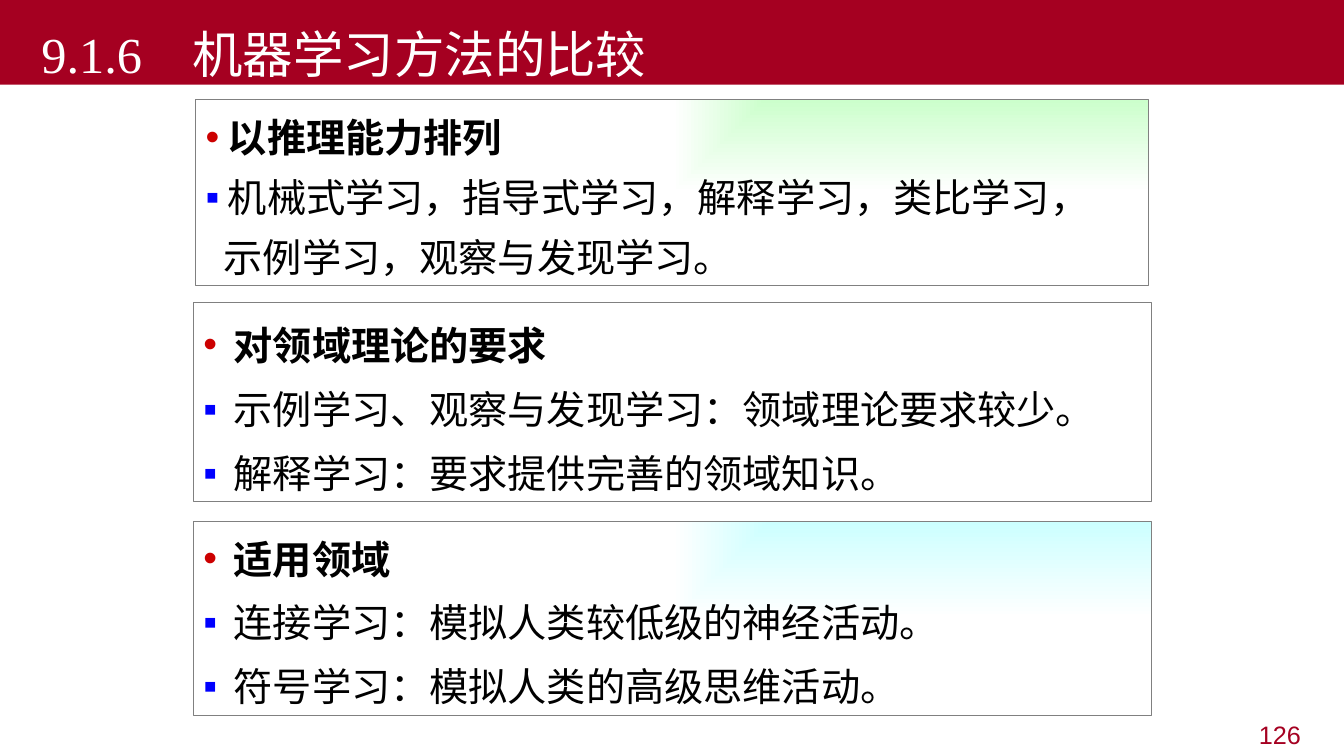
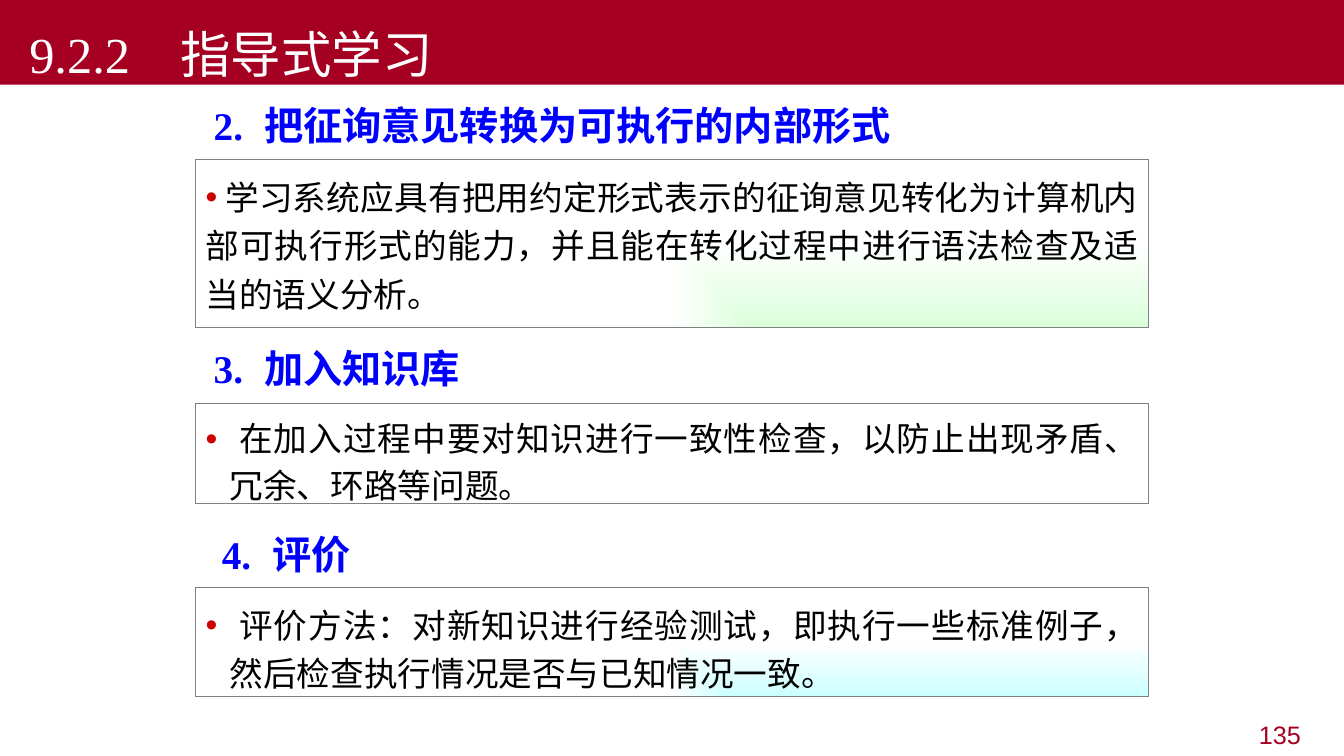
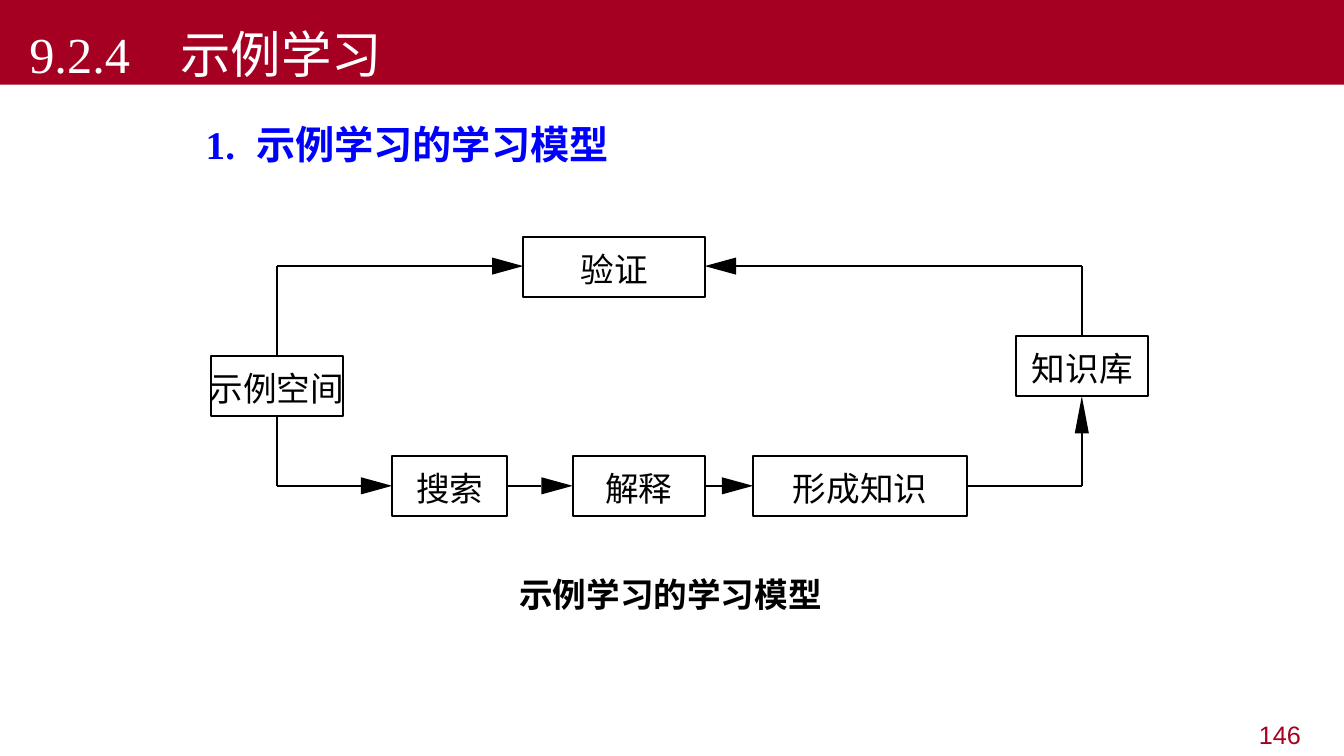
import dataclasses

import lxml.etree
import pptx
import pptx.dml.color
import pptx.enum.shapes
import pptx.enum.text
import pptx.oxml.ns
import pptx.util

Inches = pptx.util.Inches
Pt = pptx.util.Pt
ALIGN = pptx.enum.text.PP_ALIGN
ANCHOR = pptx.enum.text.MSO_ANCHOR


@dataclasses.dataclass(frozen=True)
class Theme:
    """Colours, fonts and type sizes of the deck."""

    crimson: str = "A50021"
    white: str = "FFFFFF"
    black: str = "000000"
    blue: str = "0000FF"
    red: str = "CC0000"
    gray: str = "808080"
    green: str = "CCFFCC"
    pale_green: str = "D9FFD9"
    cyan: str = "CCFFFF"
    serif: str = "Times New Roman"
    sans: str = "Arial"
    chinese: str = "Noto Sans CJK SC"
    title: int = 36
    heading: int = 28
    text: int = 24
    page: int = 18
    line: float = 1.2


THEME = Theme()
DOT = ("•", THEME.red)
SQUARE = ("▪", THEME.blue)


def rgb(value):
    """Return a colour object for a hex value."""
    return pptx.dml.color.RGBColor.from_string(value)


def apply(target, values):
    """Set each attribute named in values."""
    for name, value in values.items():
        setattr(target, name, value)


def add_child(parent, tag, **attributes):
    """Append a DrawingML element to parent."""
    return lxml.etree.SubElement(parent, pptx.oxml.ns.qn(tag), attributes)


def prepare_frame(shape, left=0.1, top=0.09, bottom=0.05, right=0.1,
                  wrap=True, anchor=ANCHOR.TOP):
    """Set margins, wrapping and anchor, and return the text frame."""
    frame = shape.text_frame
    apply(frame, {
        "margin_left": Inches(left),
        "margin_top": Inches(top),
        "margin_right": Inches(right),
        "margin_bottom": Inches(bottom),
        "word_wrap": wrap,
        "auto_size": pptx.enum.text.MSO_AUTO_SIZE.NONE,
        "vertical_anchor": anchor,
    })
    return frame


def add_para(frame, text, size, color=THEME.black, font=THEME.chinese,
             bold=False, align=ALIGN.LEFT, line=1, before=0, bullet=None,
             margin=0, hang=0, tab=None):
    """Write one formatted paragraph, reusing an empty first one."""
    first = not frame.paragraphs[0].runs
    para = frame.paragraphs[0] if first else frame.add_paragraph()
    properties = para._p.get_or_add_pPr()
    properties.set("marL", str(Inches(margin)))
    properties.set("indent", str(-Inches(hang)))
    if bullet:
        mark, mark_color = bullet
        add_child(add_child(properties, "a:buClr"), "a:srgbClr", val=mark_color)
        add_child(properties, "a:buFont", typeface=THEME.sans)
        add_child(properties, "a:buChar", char=mark)
    else:
        add_child(properties, "a:buNone")
    if tab:
        tabs = add_child(properties, "a:tabLst")
        add_child(tabs, "a:tab", pos=str(Inches(tab)), algn="l")
    apply(para, {
        "alignment": align,
        "line_spacing": Pt(round(size * THEME.line * line, 1)),
        "space_before": Pt(0 if first else round(size * before, 1)),
        "space_after": Pt(0),
    })
    span = para.add_run()
    span.text = text
    apply(span.font, {"size": Pt(size), "bold": bold, "name": font})
    span.font.color.rgb = rgb(color)
    add_child(span._r.get_or_add_rPr(), "a:ea", typeface=THEME.chinese)


def place(shape, area):
    """Move a shape to an area of left, top, width and height."""
    apply(shape, dict(zip(("left", "top", "width", "height"),
                          map(Inches, area))))


def add_text_box(page, area, **frame_values):
    """Add a text box and return its text frame."""
    return prepare_frame(page.shapes.add_textbox(*map(Inches, area)),
                         **frame_values)


def add_rectangle(page, area):
    """Add a rectangle without shadow."""
    box = page.shapes.add_shape(pptx.enum.shapes.MSO_SHAPE.RECTANGLE,
                                *map(Inches, area))
    box.shadow.inherit = False
    return box


def fill_from_corner(shape, color, corner):
    """Fade a colour to white from the top or bottom right corner."""
    shape.fill.gradient()
    for stop, value in zip(shape.fill.gradient_stops, (color, THEME.white)):
        stop.color.rgb = rgb(value)
    gradient = shape._element.spPr.find(pptx.oxml.ns.qn("a:gradFill"))
    gradient.remove(gradient.find(pptx.oxml.ns.qn("a:lin")))
    edges = {"top": {"l": "100000", "b": "100000"},
             "bottom": {"l": "100000", "t": "100000"}}
    focus = add_child(gradient, "a:path", path="rect")
    add_child(focus, "a:fillToRect", **edges[corner])


def style_panel(shape, color=None, corner="top"):
    """Give a panel its outline and fill, and return its text frame."""
    if color:
        fill_from_corner(shape, color, corner)
    else:
        shape.fill.solid()
        shape.fill.fore_color.rgb = rgb(THEME.white)
    shape.line.color.rgb = rgb(THEME.gray)
    shape.line.width = Pt(0.75)
    return prepare_frame(shape)


def add_list(frame, heading, items, line, before, hang):
    """Write a bold heading and square bullets below it."""
    shared = {"size": THEME.heading, "line": line, "margin": hang,
              "hang": hang}
    add_para(frame, heading, bold=True, bullet=DOT, **shared)
    for item in items:
        add_para(frame, item, bullet=SQUARE, before=before, **shared)


def add_heading(frame, number, text, line=1):
    """Write a numbered blue heading."""
    add_para(frame, f"{number}.\t{text}", THEME.heading, THEME.blue,
             THEME.serif, bold=True, line=line, tab=0.47)


def add_page(deck, number, section, title, left=0.29, tab=1.35):
    """Add a slide with title band and page number."""
    page = deck.slides.add_slide(deck.slide_layouts[1])
    band = page.shapes.title
    place(band, (0, 0, 13.33, 0.84))
    band.fill.solid()
    band.fill.fore_color.rgb = rgb(THEME.crimson)
    frame = prepare_frame(band, left=left, bottom=0.01, anchor=ANCHOR.BOTTOM)
    add_para(frame, f"{section}\t{title}", THEME.title, THEME.white,
             THEME.serif, tab=tab)
    frame = add_text_box(page, (10.11, 7.05, 2.89, 0.39))
    add_para(frame, str(number), THEME.page, THEME.crimson, THEME.sans,
             align=ALIGN.RIGHT)
    return page


def add_node(page, text, area):
    """Add an outlined diagram node with a centred label."""
    box = add_rectangle(page, area)
    box.fill.background()
    box.line.color.rgb = rgb(THEME.black)
    box.line.width = Pt(1.5)
    frame = prepare_frame(box, left=0, right=0, top=0.04, bottom=0,
                          wrap=False, anchor=ANCHOR.MIDDLE)
    add_para(frame, text, THEME.text, align=ALIGN.CENTER)


def add_route(page, points, length=0.31, width=0.17):
    """Draw a line through points that ends in a solid arrowhead."""
    (last_x, last_y), (tip_x, tip_y) = points[-2:]
    run = abs(tip_x - last_x) + abs(tip_y - last_y)
    step_x, step_y = (tip_x - last_x) / run, (tip_y - last_y) / run
    base_x, base_y = tip_x - step_x * length, tip_y - step_y * length
    stops = points[:-1] + [(base_x, base_y)]
    for start, end in zip(stops, stops[1:]):
        line = page.shapes.add_connector(
            pptx.enum.shapes.MSO_CONNECTOR.STRAIGHT,
            *map(Inches, start + end))
        line.line.color.rgb = rgb(THEME.black)
        line.line.width = Pt(1.5)
        add_child(line._element.spPr, "a:effectLst")
    side_x, side_y = step_y * width / 2, step_x * width / 2
    corners = [(base_x + side_x, base_y + side_y),
               (base_x - side_x, base_y - side_y)]
    builder = page.shapes.build_freeform(Inches(tip_x), Inches(tip_y))
    builder.add_line_segments(
        [tuple(map(Inches, corner)) for corner in corners], close=True)
    head = builder.convert_to_shape()
    head.shadow.inherit = False
    head.fill.solid()
    head.fill.fore_color.rgb = rgb(THEME.black)
    head.line.fill.background()


def build_comparison(deck):
    """Build the comparison of learning methods."""
    page = add_page(deck, 126, "9.1.6", "机器学习方法的比较", left=0.41)
    body = page.placeholders[1]
    place(body, (1.94, 0.99, 9.45, 1.84))
    frame = style_panel(body, THEME.green)
    add_list(frame, "以推理能力排列",
             ["机械式学习，指导式学习，解释学习，类比学习，"], 1.1, 0.2, 0.22)
    add_para(frame, "示例学习，观察与发现学习。", THEME.heading, line=1.1,
             before=0.2, margin=0.18)
    panels = [
        (3, 1.98, None, 1.2, 0.2, "对领域理论的要求",
         ["示例学习、观察与发现学习：领域理论要求较少。",
          "解释学习：要求提供完善的领域知识。"]),
        (5.17, 1.93, THEME.cyan, 1.1, 0.3, "适用领域",
         ["连接学习：模拟人类较低级的神经活动。",
          "符号学习：模拟人类的高级思维活动。"]),
    ]
    for top, height, color, line, before, heading, items in panels:
        box = add_rectangle(page, (1.92, top, 9.5, height))
        add_list(style_panel(box, color), heading, items, line, before, 0.3)


def build_guided_learning(deck):
    """Build the steps of guided learning."""
    page = add_page(deck, 135, "9.2.2", "指导式学习")
    headings = [
        (2, "把征询意见转换为可执行的内部形式", 1.92, 0.92),
        (3, "加入知识库", 1.92, 3.33),
        (4, "评价", 2, 5.17),
    ]
    for number, text, left, top in headings:
        frame = add_text_box(page, (left, top, 7.17, 0.57), left=0.2)
        add_heading(frame, number, text)
    body = page.placeholders[1]
    panels = [
        (body, 1.58, 1.67, THEME.pale_green, 1.2, 0,
         " 学习系统应具有把用约定形式表示的征询意见转化为计算机内部可执行形式的能力，"
         "并且能在转化过程中进行语法检查及适当的语义分析。"),
        (None, 4, 1, None, 1.15, 0.24,
         " 在加入过程中要对知识进行一致性检查，以防止出现矛盾、冗余、环路等问题。"),
        (None, 5.83, 1.08, THEME.cyan, 1.2, 0.24,
         " 评价方法：对新知识进行经验测试，即执行一些标准例子，"
         "然后检查执行情况是否与已知情况一致。"),
    ]
    for holder, top, height, color, line, hang, text in panels:
        area = (1.94, top, 9.45, height)
        panel = holder or add_rectangle(page, area)
        place(panel, area)
        frame = style_panel(panel, color, "bottom")
        add_para(frame, text, THEME.text, font=THEME.serif,
                 align=ALIGN.JUSTIFY, line=line, bullet=DOT, margin=hang,
                 hang=hang)


def build_example_learning(deck):
    """Build the model diagram of learning from examples."""
    page = add_page(deck, 146, "9.2.4", "示例学习", tab=1.47)
    body = page.placeholders[1]
    place(body, (1.94, 1.01, 9.45, 5.91))
    add_heading(prepare_frame(body), 1, "示例学习的学习模型", line=1.2)
    nodes = [
        ("示例空间", 2.09, 3.53, 1.31),
        ("验证", 5.19, 2.35, 1.8),
        ("搜索", 3.89, 4.52, 1.14),
        ("解释", 5.68, 4.52, 1.31),
        ("形成知识", 7.47, 4.52, 2.12),
        ("知识库", 10.08, 3.33, 1.31),
    ]
    for text, left, top, width in nodes:
        add_node(page, text, (left, top, width, 0.6))
    upper, lower, west, east = 2.64, 4.82, 2.75, 10.73
    add_route(page, [(west, 3.53), (west, upper), (5.19, upper)])
    add_route(page, [(east, 3.33), (east, upper), (6.99, upper)])
    add_route(page, [(west, 4.13), (west, lower), (3.89, lower)])
    add_route(page, [(5.03, lower), (5.68, lower)])
    add_route(page, [(6.99, lower), (7.47, lower)])
    add_route(page, [(9.59, lower), (east, lower), (east, 3.93)],
              length=0.37, width=0.14)
    caption = add_text_box(page, (5.15, 5.65, 3.05, 0.4), left=0, top=0.04,
                           right=0, bottom=0, wrap=False)
    add_para(caption, "示例学习的学习模型", THEME.text, bold=True)


def main():
    """Build and save the deck."""
    deck = pptx.Presentation()
    apply(deck, {"slide_width": Inches(13.33), "slide_height": Inches(7.5)})
    build_comparison(deck)
    build_guided_learning(deck)
    build_example_learning(deck)
    deck.save("out.pptx")


if __name__ == "__main__":
    main()
